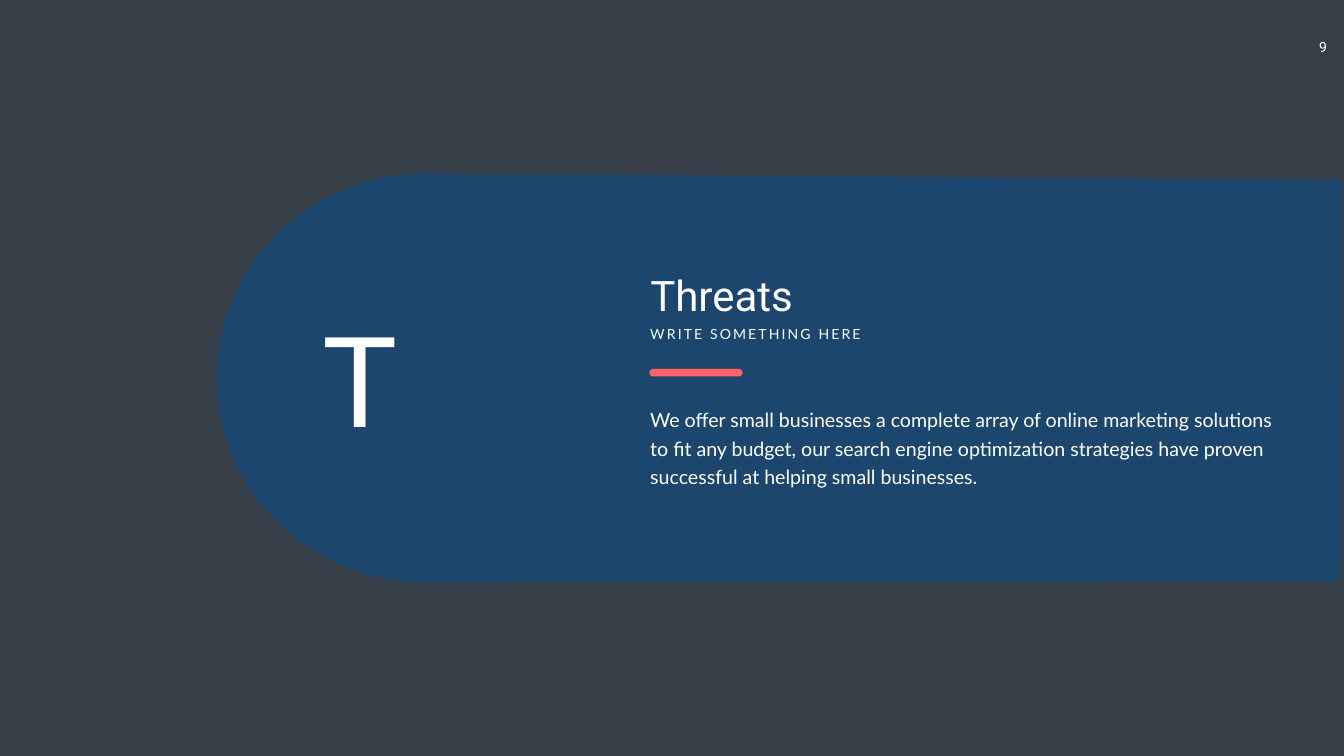
from math import cos, pi, sin

from pptx import Presentation
from pptx.dml.color import RGBColor
from pptx.enum.shapes import MSO_SHAPE
from pptx.enum.text import MSO_ANCHOR, MSO_AUTO_SIZE, PP_ALIGN
from pptx.util import Inches, Pt

COLORS = {"background": "363E48", "panel": "1C466E", "accent": "FF6269", "text": "FFFFFF"}

PAGE_NUMBER = "9"
LETTER = "T"
HEADING = "Threats"
SUBHEADING = "WRITE SOMETHING HERE"
BODY = (
    "We offer small businesses a complete array of online marketing solutions "
    "to fit any budget, our search engine optimization strategies have proven "
    "successful at helping small businesses."
)

TEXT_LEFT = 12.8
ACCENT_BAR = (12.88, 7.32, 1.85, 0.15)
PANEL_RIGHT_EDGE = [(26.58, 11.53), (26.61, 3.57)]
ARC_CENTER, ARC_RADII = (8.45, 7.5), (4.16, 4.06)
ARC_STEPS = 90


def paint(item, color):
    item.fill.solid()
    item.fill.fore_color.rgb = RGBColor.from_string(COLORS[color])


def finish_shape(shape, color):
    paint(shape, color)
    shape.line.fill.background()
    shape.shadow.inherit = False


def write(box, text, size, font="Roboto", align=PP_ALIGN.LEFT, wrap=True, leading=1.0, tracking=0):
    """Fill a box with one paragraph; tracking is letter spacing in points."""
    frame = box.text_frame
    frame.word_wrap = wrap
    frame.auto_size = MSO_AUTO_SIZE.NONE
    frame.vertical_anchor = MSO_ANCHOR.TOP
    paragraph = frame.paragraphs[0]
    paragraph.alignment = align
    paragraph.line_spacing = leading
    run = paragraph.add_run()
    run.text = text
    run.font.name = font
    run.font.size = Pt(size)
    run.font.color.rgb = RGBColor.from_string(COLORS["text"])
    if tracking:
        run.font._element.set("spc", str(tracking * 100))


def add_text(slide, place, text, size, **style):
    write(slide.shapes.add_textbox(*map(Inches, place)), text, size, **style)


def add_panel(slide):
    """Draw the panel: a half ellipse on the left, closed along the right edge."""
    angles = [pi / 2 + pi * step / ARC_STEPS for step in range(ARC_STEPS + 1)]
    arc = [
        (ARC_CENTER[0] + ARC_RADII[0] * cos(angle), ARC_CENTER[1] - ARC_RADII[1] * sin(angle))
        for angle in angles
    ]
    start, *rest = [(Inches(x), Inches(y)) for x, y in arc + PANEL_RIGHT_EDGE]
    builder = slide.shapes.build_freeform(*start)
    builder.add_line_segments(rest, close=True)
    finish_shape(builder.convert_to_shape(), "panel")


def add_heading(slide):
    title = slide.shapes.title
    title.left, title.top, title.width, title.height = map(Inches, (TEXT_LEFT, 5.29, 9.76, 1.11))
    write(title, HEADING, 60)
    slide.shapes._spTree.append(title._element)  # bring in front of the panel


def main():
    deck = Presentation()
    deck.slide_width, deck.slide_height = Inches(26.66), Inches(15)
    slide = deck.slides.add_slide(deck.slide_layouts[5])
    paint(slide.background, "background")

    add_text(slide, (25.79, 0.72, 0.91, 0.44), PAGE_NUMBER, 20, align=PP_ALIGN.CENTER, wrap=False)
    add_panel(slide)
    add_heading(slide)
    add_text(slide, (TEXT_LEFT, 6.4, 5.85, 0.44), SUBHEADING, 20, font="Lato", tracking=3)
    add_text(slide, (TEXT_LEFT, 7.95, 12.71, 1.77), BODY, 28, font="Lato", leading=Pt(40.8))

    bar = slide.shapes.add_shape(MSO_SHAPE.ROUNDED_RECTANGLE, *map(Inches, ACCENT_BAR))
    bar.adjustments[0] = 0.5
    finish_shape(bar, "accent")

    add_text(slide, (5.41, 5.93, 3.48, 3.13), LETTER, 180, align=PP_ALIGN.CENTER)
    deck.save("out.pptx")


if __name__ == "__main__":
    main()
